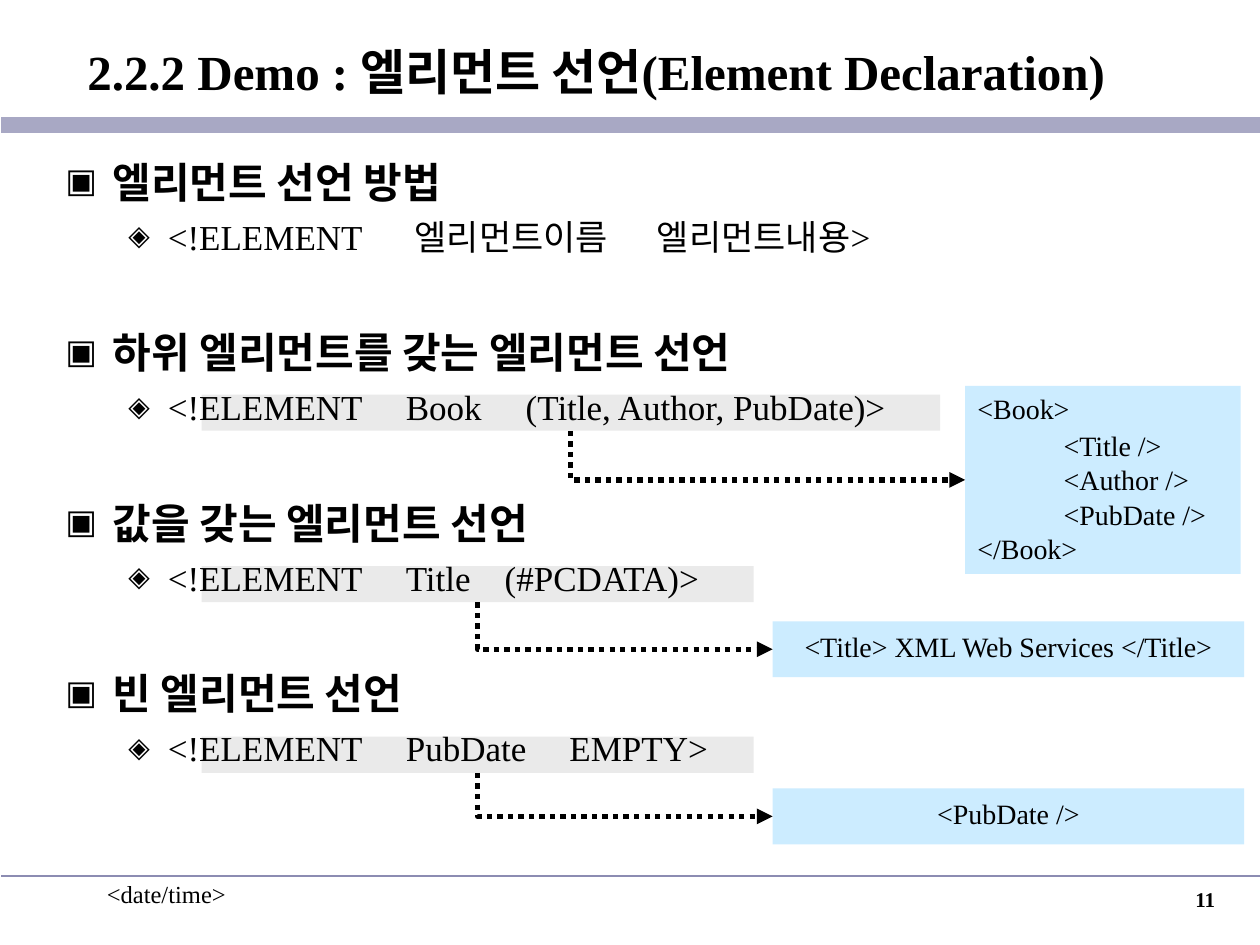
from lxml.etree import SubElement
from pptx import Presentation
from pptx.dml.color import RGBColor
from pptx.enum.dml import MSO_LINE
from pptx.enum.shapes import MSO_CONNECTOR as Connector, MSO_SHAPE as Preset
from pptx.enum.text import MSO_ANCHOR as Anchor, MSO_AUTO_SIZE as AutoSize, PP_ALIGN as Align
from pptx.oxml.ns import qn
from pptx.util import Pt

BLACK = RGBColor(0x00, 0x00, 0x00)
GRAY = RGBColor(0xEA, 0xEA, 0xEA)
SKY = RGBColor(0xCC, 0xEC, 0xFF)
LAVENDER = RGBColor(0xA8, 0xA8, 0xC4)
SLATE = RGBColor(0x8C, 0x8C, 0xB2)
FONT = "Times New Roman"

TITLE = "2.2.2 Demo : 엘리먼트 선언(Element Declaration)"
SECTIONS = [
    ("엘리먼트 선언 방법", "<!ELEMENT\t엘리먼트이름\t엘리먼트내용>", (199.5, 338)),
    ("하위 엘리먼트를 갖는 엘리먼트 선언", "<!ELEMENT\tBook\t(Title, Author, PubDate)>", (194.5, 263)),
    ("값을 갖는 엘리먼트 선언", "<!ELEMENT\tTitle\t(#PCDATA)>", (194.5, 251)),
    ("빈 엘리먼트 선언", "<!ELEMENT\tPubDate\tEMPTY>", (194.5, 288)),
]
BOOK_LINES = [("<Book>", 0), ("<Title />", 49.2), ("<Author />", 49.2),
              ("<PubDate />", 49.2), ("</Book>", 0)]
EXAMPLES = [
    ((115.2, 225.5, 422, 20.7), (551.5, 220.5, 157.5, 107.5), Align.LEFT, BOOK_LINES),
    ((115.2, 323.5, 315.5, 20.7), (441.5, 355, 269.5, 32), Align.CENTER,
     [("<Title> XML Web Services </Title>", 0)]),
    ((115.2, 421, 315.5, 20.7), (441.5, 450.5, 269.5, 32), Align.CENTER, [("<PubDate />", 0)]),
]
RULES = [(71.3, LAVENDER, 9.25), (500.4, SLATE, 1)]
FOOTERS = [("<date/time>", (54, 499, 150, 36), Align.LEFT, 14, False),
           ("11", (551.5, 503.3, 150, 36), Align.RIGHT, 12, True)]
HEADING = {"bullet": "▣", "margin": 27, "hanging": 27, "size": 24, "bold": True}
DECLARATION = {"bullet": "◈", "margin": 58.5, "hanging": 22.5, "size": 20, "bold": False}
SECTION_GAP = 39.6


def write(paragraph, text, size, bold=False, **formats):
    for name, value in formats.items():
        setattr(paragraph, name, value)
    run = paragraph.add_run()
    run.text = text
    font_formats = {"name": FONT, "size": Pt(size), "bold": bold}
    for name, value in font_formats.items():
        setattr(run.font, name, value)
    run.font.color.rgb = BLACK


def place(shape, box):
    for name, value in zip(("left", "top", "width", "height"), box):
        setattr(shape, name, Pt(value))


def next_paragraph(frame, index):
    return frame.paragraphs[0] if index == 0 else frame.add_paragraph()


def add_bullet(paragraph, style, tabs=()):
    properties = paragraph._p.get_or_add_pPr()
    properties.set("marL", str(Pt(style["margin"])))
    properties.set("indent", str(-Pt(style["hanging"])))
    color = SubElement(properties, qn("a:buClr"))
    SubElement(color, qn("a:srgbClr"), val=str(BLACK))
    SubElement(properties, qn("a:buSzPct"), val="80000")
    SubElement(properties, qn("a:buFont"), typeface=FONT)
    SubElement(properties, qn("a:buChar"), char=style["bullet"])
    if tabs:
        tab_list = SubElement(properties, qn("a:tabLst"))
        for position in tabs:
            SubElement(tab_list, qn("a:tab"), pos=str(Pt(position)), algn="l")


def add_rectangle(slide, box, color):
    shape = slide.shapes.add_shape(Preset.RECTANGLE, *map(Pt, box))
    shape.shadow.inherit = False
    shape.fill.solid()
    shape.fill.fore_color.rgb = color
    shape.line.fill.background()
    return shape


def add_line(slide, kind, ends, color, width):
    connector = slide.shapes.add_connector(kind, *map(Pt, ends))
    connector.line.color.rgb = color
    connector.line.width = Pt(width)
    SubElement(connector._element.spPr, qn("a:effectLst"))
    return connector


def add_elbow_arrow(slide, source, target):
    x1, y1 = source.left + source.width // 2, source.top + source.height
    x2, y2 = target.left, target.top + target.height // 2
    run, drop = x2 - x1, y2 - y1
    arrow = add_line(slide, Connector.ELBOW, (0, 0, 1, 1), BLACK, 3)
    arrow.begin_connect(source, 2)
    arrow.end_connect(target, 3 - 2)
    arrow.left, arrow.top = (x1 + x2 - drop) // 2, (y1 + y2 - run) // 2
    arrow.width, arrow.height = drop, run
    properties = arrow._element.spPr
    transform = properties.find(qn("a:xfrm"))
    transform.set("rot", "16200000")
    transform.set("flipH", "1")
    properties.find(qn("a:prstGeom")).set("prst", "bentConnector2")
    arrow.line.dash_style = MSO_LINE.ROUND_DOT
    SubElement(properties.find(qn("a:ln")), qn("a:tailEnd"), type="triangle")


def add_example(slide, strip_box, box, alignment, lines):
    strip = add_rectangle(slide, strip_box, GRAY)
    example = add_rectangle(slide, box, SKY)
    frame = example.text_frame
    frame.word_wrap = True
    frame.vertical_anchor = Anchor.MIDDLE
    for index, (text, indent) in enumerate(lines):
        paragraph = next_paragraph(frame, index)
        paragraph._p.get_or_add_pPr().set("marL", str(Pt(indent)))
        write(paragraph, text, 16, alignment=alignment,
              line_spacing=0.5 if index else 0.85, space_before=Pt(10 if index else 0))
    add_elbow_arrow(slide, strip, example)
    return strip


def fill_title(title):
    place(title, (0.7, 7.9, 719.3, 64.8))
    frame = title.text_frame
    frame.auto_size = AutoSize.NONE
    frame.vertical_anchor = Anchor.MIDDLE
    frame.margin_left = Pt(49.2)
    write(frame.paragraphs[0], TITLE, 28, True, alignment=Align.LEFT)


def fill_body(body):
    place(body, (30.2, 85.7, 659.5, 411))
    frame = body.text_frame
    frame.auto_size = AutoSize.NONE
    for index, (heading, declaration, tabs) in enumerate(SECTIONS):
        paragraph = next_paragraph(frame, index)
        add_bullet(paragraph, HEADING)
        write(paragraph, heading, HEADING["size"], HEADING["bold"],
              space_before=Pt(SECTION_GAP if index else 0))
        paragraph = frame.add_paragraph()
        add_bullet(paragraph, DECLARATION, tabs)
        write(paragraph, declaration, DECLARATION["size"], DECLARATION["bold"],
              level=1, space_before=Pt(5))


def main():
    presentation = Presentation()
    presentation.slide_width, presentation.slide_height = Pt(720), Pt(540)
    slide = presentation.slides.add_slide(presentation.slide_layouts[1])
    title, body = slide.placeholders
    for y, color, width in RULES:
        add_line(slide, Connector.STRAIGHT, (0.7, y, 720, y), color, width)
    strips = [add_example(slide, *example) for example in EXAMPLES]
    for strip in strips:
        title._element.addprevious(strip._element)
    fill_title(title)
    fill_body(body)
    for text, box, alignment, size, bold in FOOTERS:
        frame = slide.shapes.add_textbox(*map(Pt, box)).text_frame
        frame.word_wrap = True
        write(frame.paragraphs[0], text, size, bold, alignment=alignment)
    presentation.save("out.pptx")


if __name__ == "__main__":
    main()
